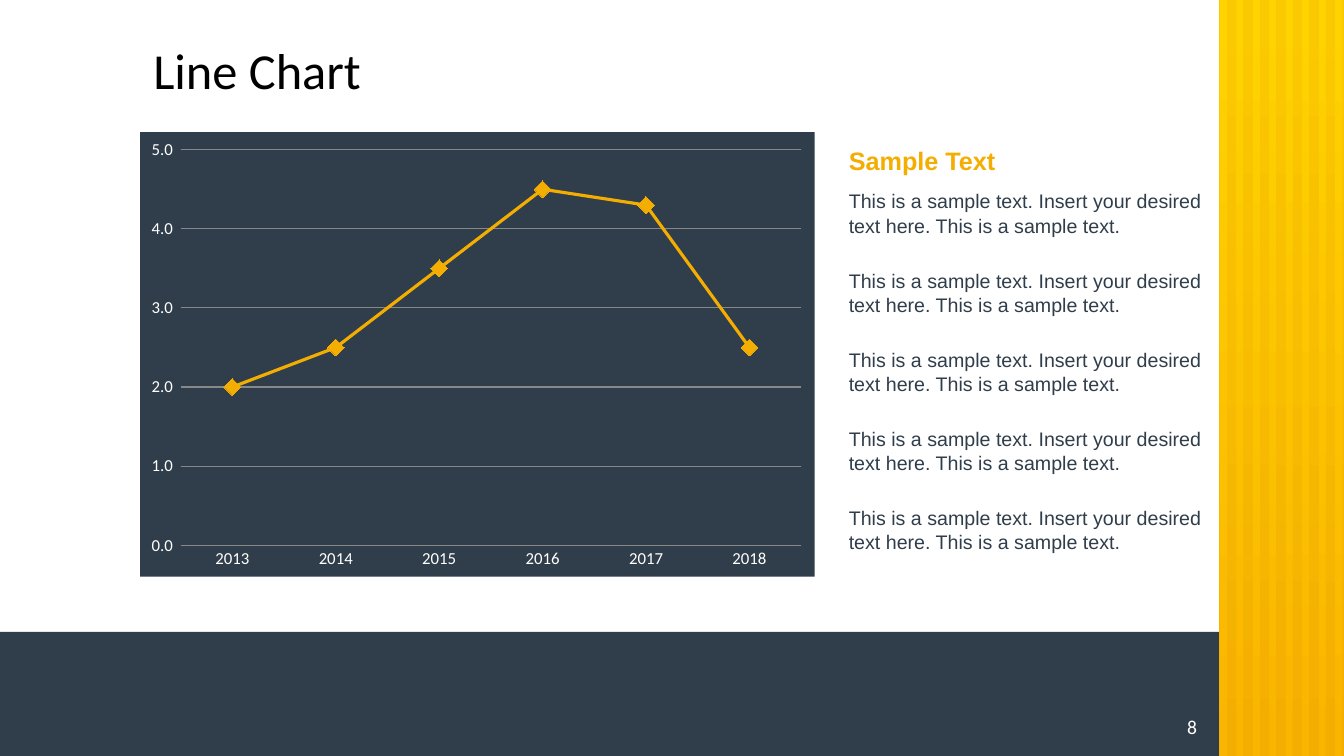
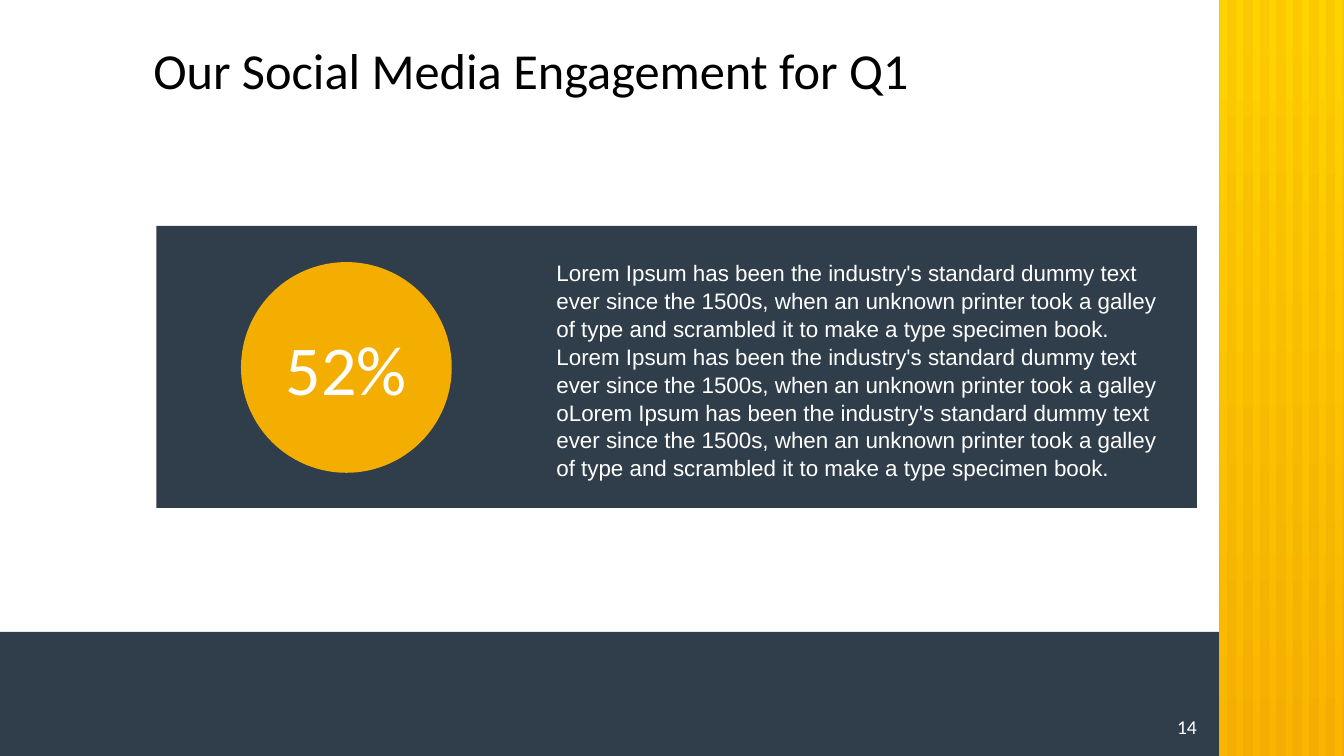
"""Build a line chart slide and an engagement slide on one shared layout."""
from dataclasses import dataclass

from lxml import etree
from pptx import Presentation
from pptx.chart.data import CategoryChartData
from pptx.dml.color import RGBColor
from pptx.enum import chart as ch, shapes, text
from pptx.oxml import parse_xml
from pptx.oxml.ns import nsdecls, qn
from pptx.util import Inches, Pt


@dataclass(frozen=True)
class Theme:
    navy: str = "303E4B"
    amber: str = "F4AE01"
    white: str = "FFFFFF"
    black: str = "000000"
    grid: str = "888888"
    band: tuple = ("F4AE01", "FBC901")
    stripe: tuple = ("FAB500", "FED300")
    head_font: str = "Calibri"
    body_font: str = "Arial"
    title: int = 36
    figure: int = 50
    heading: int = 18
    body: int = 14
    lead: int = 16
    axis: int = 12
    spacing: float = 1.04


T = Theme()

CHART_SLIDE = {
    "title": "Line Chart",
    "page": "8",
    "points": {"2013": 2, "2014": 2.5, "2015": 3.5, "2016": 4.5, "2017": 4.3, "2018": 2.5},
    "heading": "Sample Text",
    "notes": ["This is a sample text. Insert your desired text here. This is a sample text."] * 5,
}
ENGAGEMENT_SLIDE = {
    "title": "Our Social Media Engagement for Q1",
    "page": "14",
    "figure": "52%",
    "lead": "Lorem Ipsum has been the industry's standard dummy text ever since the 1500s, "
            "when an unknown printer took a galley of type and scrambled it to make a type "
            "specimen book. Lorem Ipsum has been the industry's standard dummy text ever since "
            "the 1500s, when an unknown printer took a galley oLorem Ipsum has been the "
            "industry's standard dummy text ever since the 1500s, when an unknown printer took "
            "a galley of type and scrambled it to make a type specimen book.",
}


def rgb(color):
    return RGBColor.from_string(color)


def box(*lengths):
    return [Inches(v) for v in lengths]


def set_font(font, size, color, name, bold=False):
    font.size, font.name, font.bold = Pt(size), name, bold
    font.color.rgb = rgb(color)


def write(tf, words, size, color, name, bold=False, align=text.PP_ALIGN.LEFT, spacing=None):
    p = tf.paragraphs[0]
    p.alignment = align
    p.line_spacing = spacing
    r = p.add_run()
    r.text = words
    set_font(r.font, size, color, name, bold)


def add_text(s, at, words, size, color, name, anchor=text.MSO_ANCHOR.TOP, **style):
    tf = s.shapes.add_textbox(*box(*at)).text_frame
    tf.word_wrap = True
    tf.auto_size = text.MSO_AUTO_SIZE.SHAPE_TO_FIT_TEXT
    tf.vertical_anchor = anchor
    write(tf, words, size, color, name, **style)


def add_shape(s, at, fill, kind=shapes.MSO_SHAPE.RECTANGLE):
    sp = s.shapes.add_shape(kind, *box(*at))
    sp.shadow.inherit = False
    sp.line.fill.background()
    if isinstance(fill, tuple):
        sp.fill.gradient()
        sp.fill.gradient_angle = 90
        for stop, color in zip(sp.fill.gradient_stops, fill):
            stop.color.rgb = rgb(color)
    else:
        sp.fill.solid()
        sp.fill.fore_color.rgb = rgb(fill)
    return sp


def style_layout(layout, s):
    title = layout.placeholders[0]
    title.left, title.top, title.width, title.height = box(1.39, 0.3, 10.71, 0.78)
    backdrop = [((0, 6.27, 12.09, 1.23), T.navy), ((12.09, 0, 1.24, 7.5), T.band)]
    backdrop += [((12.1 + 0.163 * i, 0, 0.07, 7.5), T.stripe) for i in range(8)]
    for i, (at, fill) in enumerate(backdrop):
        layout.shapes.element.insert(2 + i, add_shape(s, at, fill).element)


def add_frame(s, content):
    tf = s.shapes.title.text_frame
    tf.vertical_anchor = text.MSO_ANCHOR.MIDDLE
    tf.margin_left = tf.margin_right = Inches(0.13)
    tf.margin_top = tf.margin_bottom = Inches(0.07)
    write(tf, content["title"], T.title, T.black, T.head_font)
    add_text(s, (11.47, 7.04, 0.5, 0.34), content["page"], T.body, T.white, T.head_font,
             align=text.PP_ALIGN.RIGHT)


def place_plot(chart, **fractions):
    plot_area = chart.element.find(".//" + qn("c:plotArea"))
    for old in plot_area.findall(qn("c:layout")):
        plot_area.remove(old)
    layout = etree.Element(qn("c:layout"))
    manual = etree.SubElement(layout, qn("c:manualLayout"))
    settings = {"layoutTarget": "inner", "xMode": "edge", "yMode": "edge", **fractions}
    for tag, value in settings.items():
        etree.SubElement(manual, qn("c:" + tag)).set("val", str(value))
    plot_area.insert(0, layout)


def add_line_chart(s, at, points):
    data = CategoryChartData()
    data.categories = list(points)
    data.add_series("Series 1", list(points.values()))
    chart = s.shapes.add_chart(ch.XL_CHART_TYPE.LINE_MARKERS, *box(*at), data).chart
    chart.has_legend = chart.has_title = False
    set_font(chart.font, T.axis, T.white, T.head_font)
    chart.element.find(qn("c:chart")).addnext(parse_xml(
        f'<c:spPr {nsdecls("c", "a")}><a:solidFill><a:srgbClr val="{T.navy}"/></a:solidFill>'
        '<a:ln><a:noFill/></a:ln></c:spPr>'))
    place_plot(chart, x=0.06, y=0.04, w=0.92, h=0.89)
    for axis in (chart.category_axis, chart.value_axis):
        axis.major_tick_mark = axis.minor_tick_mark = ch.XL_TICK_MARK.NONE
        axis.format.line.fill.background()
        set_font(axis.tick_labels.font, T.axis, T.white, T.head_font)
    axis = chart.value_axis
    axis.minimum_scale, axis.maximum_scale, axis.major_unit = 0, 5, 1
    axis.tick_labels.number_format = r"#,##0.0_);\(#,##0.0\)"
    axis.tick_labels.number_format_is_linked = False
    grid = axis.major_gridlines.format.line
    grid.width = Pt(0.75)
    grid.color.rgb = rgb(T.grid)
    chart.plots[0].vary_by_categories = False
    series = chart.plots[0].series[0]
    series.smooth = False
    series.format.line.width = Pt(2.25)
    series.format.line.color.rgb = rgb(T.amber)
    marker = series.marker
    marker.style, marker.size = ch.XL_MARKER_STYLE.DIAMOND, 12
    marker.format.fill.solid()
    marker.format.fill.fore_color.rgb = rgb(T.amber)
    marker.format.line.color.rgb = rgb(T.amber)


def build_chart_slide(s, content):
    add_frame(s, content)
    add_line_chart(s, (1.39, 1.31, 6.69, 4.41), content["points"])
    left, width = 8.32, 3.78
    add_text(s, (left, 1.39, width, 0.4), content["heading"], T.heading, T.amber, T.body_font,
             anchor=text.MSO_ANCHOR.BOTTOM, bold=True)
    for i, note in enumerate(content["notes"]):
        add_text(s, (left, 1.82 + 0.785 * i, width, 0.57), note, T.body, T.navy, T.body_font,
                 spacing=T.spacing)


def build_engagement_slide(s, content):
    add_shape(s, (1.55, 2.24, 10.32, 2.8), T.navy)
    add_frame(s, content)
    circle = add_shape(s, (2.39, 2.6, 2.09, 2.09), T.amber, shapes.MSO_SHAPE.OVAL)
    circle.text_frame.vertical_anchor = text.MSO_ANCHOR.MIDDLE
    write(circle.text_frame, content["figure"], T.figure, T.white, T.head_font,
          align=text.PP_ALIGN.CENTER)
    add_text(s, (5.42, 2.51, 6.29, 2.26), content["lead"], T.lead, T.white, T.body_font,
             spacing=T.spacing)


def main():
    prs = Presentation()
    prs.slide_width, prs.slide_height = box(13.33, 7.5)
    layout = prs.slide_layouts.get_by_name("Title Only")
    chart_slide, engagement_slide = [prs.slides.add_slide(layout) for _ in range(2)]
    style_layout(layout, chart_slide)
    build_chart_slide(chart_slide, CHART_SLIDE)
    build_engagement_slide(engagement_slide, ENGAGEMENT_SLIDE)
    prs.save("out.pptx")


if __name__ == "__main__":
    main()
